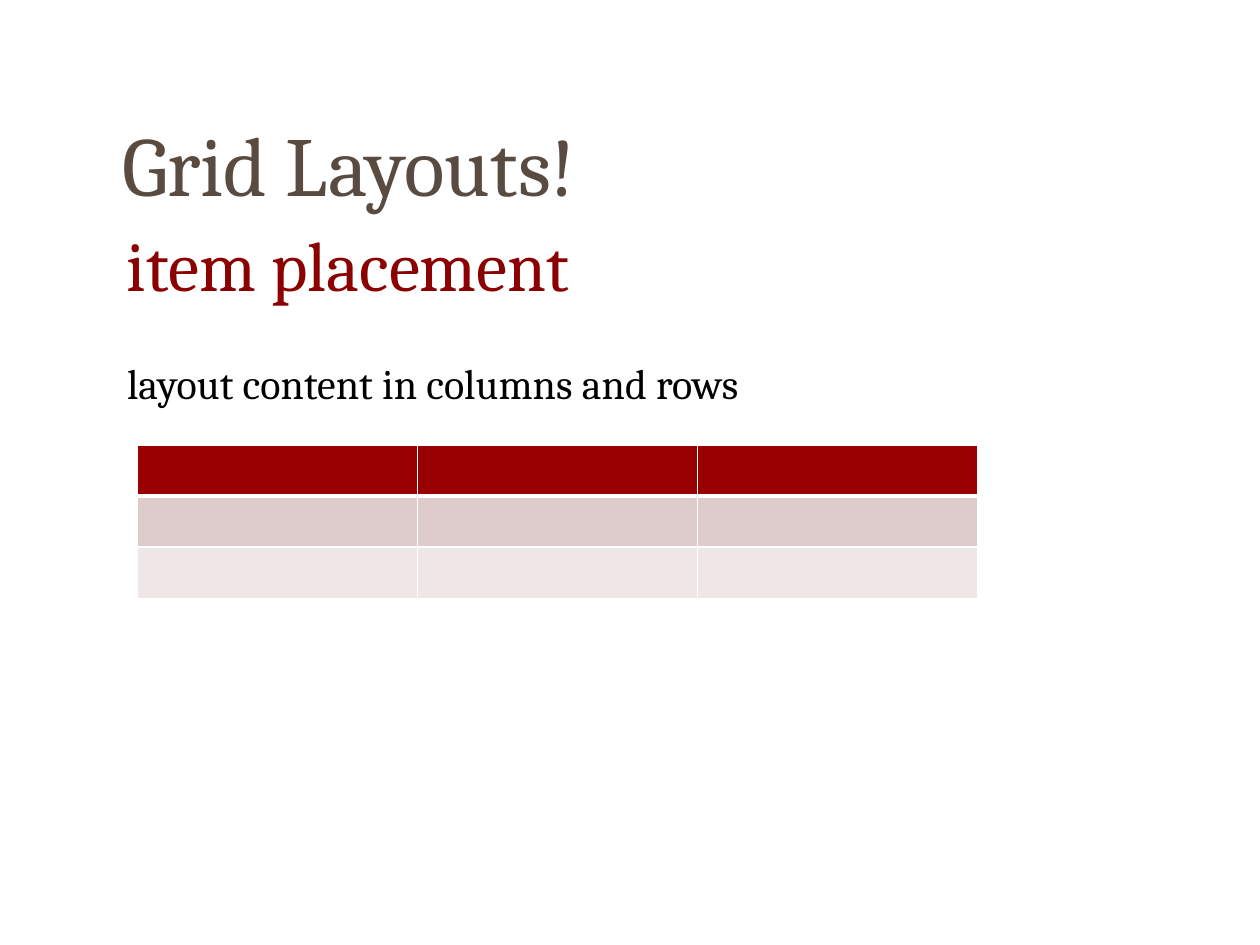
import dataclasses

import pptx
import pptx.dml.color
import pptx.oxml
import pptx.oxml.ns
import pptx.util

Inches = pptx.util.Inches
Pt = pptx.util.Pt


@dataclasses.dataclass
class Label:
    """A line of text with its box in inches."""
    text: str
    box: tuple[float, float, float, float]
    size: int
    color: str


LABELS = [
    Label("item placement", (0.91, 1.71, 7.64, 1.08), 40, "8B0000"),
    Label("layout content in columns and rows", (0.91, 2.79, 6.55, 0.5), 24, "000000"),
    Label("Grid Layouts!", (0.87, 0.84, 8.59, 1.25), 48, "5A4B40"),
]
GRID = (1.09, 3.53, 6.67, 1.22)
FILLS = ["990000", "DECCCC", "EFE7E7"]
COLS = 3


def paint(code: str) -> pptx.dml.color.RGBColor:
    """Turn a hex string into a colour."""
    return pptx.dml.color.RGBColor.from_string(code)


def write(slide, label: Label) -> None:
    """Add one label as a text box."""
    frame = slide.shapes.add_textbox(*map(Inches, label.box)).text_frame
    frame.word_wrap = True
    run = frame.paragraphs[0].add_run()
    run.text = label.text
    style = {"name": "Cambria", "size": Pt(label.size)}
    for key, value in style.items():
        setattr(run.font, key, value)
    run.font.color.rgb = paint(label.color)


def edge(cell, side: str, width: float) -> None:
    """Draw a white border on one side of a cell, before its fill."""
    line = pptx.oxml.parse_xml(
        f'<a:{side} {pptx.oxml.ns.nsdecls("a")} w="{Pt(width)}">'
        '<a:solidFill><a:srgbClr val="FFFFFF"/></a:solidFill>'
        f'</a:{side}>'
    )
    cell._tc.get_or_add_tcPr().append(line)


def tabulate(slide) -> None:
    """Add the empty grid with a heavy rule under its head row."""
    table = slide.shapes.add_table(len(FILLS), COLS, *map(Inches, GRID)).table
    for row, code in enumerate(FILLS):
        sides = {
            "lnL": 1,
            "lnR": 1,
            "lnT": 3 if row == 1 else 1,
            "lnB": 3 if row == 0 else 1,
        }
        for col in range(COLS):
            cell = table.cell(row, col)
            for side, width in sides.items():
                edge(cell, side, width)
            cell.fill.solid()
            cell.fill.fore_color.rgb = paint(code)


def main() -> None:
    """Build and save the slide."""
    deck = pptx.Presentation()
    deck.slide_width, deck.slide_height = Inches(10), Inches(7.5)
    slide = deck.slides.add_slide(deck.slide_layouts[6])
    for label in LABELS:
        write(slide, label)
    tabulate(slide)
    deck.save("out.pptx")


main()
